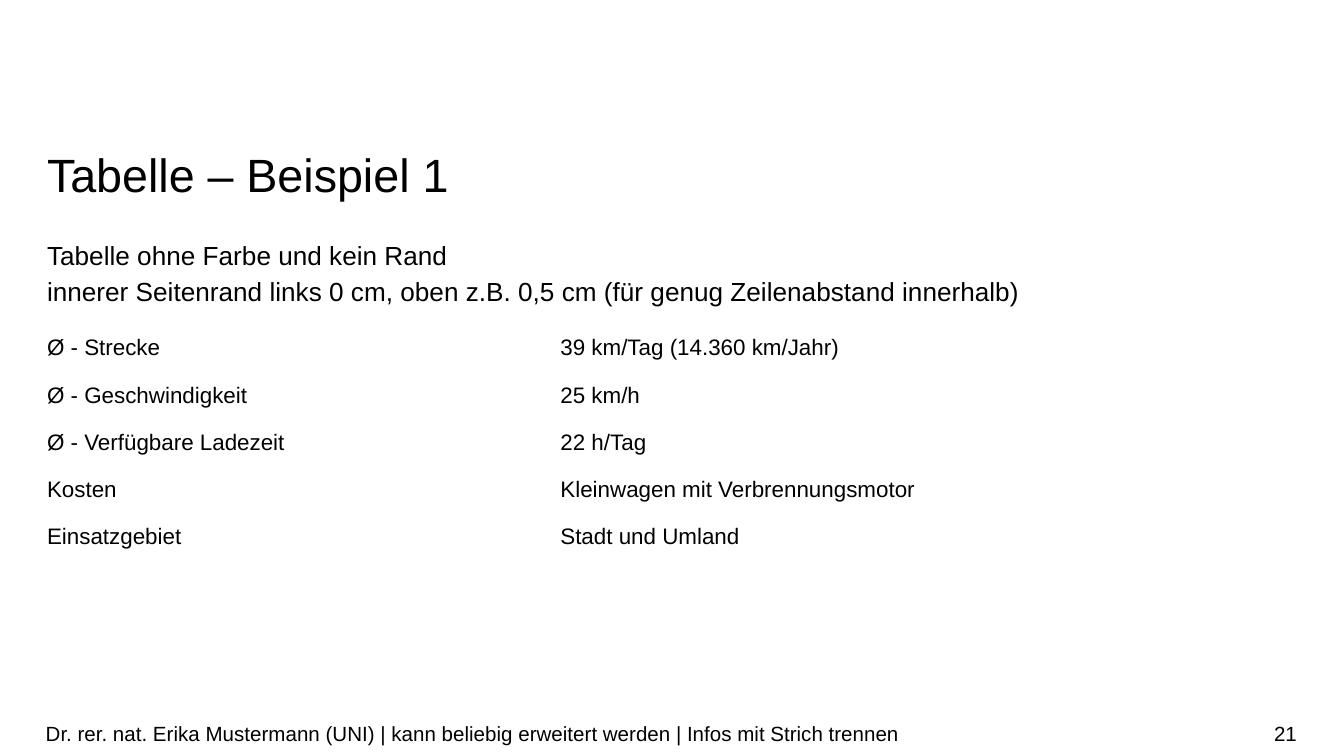
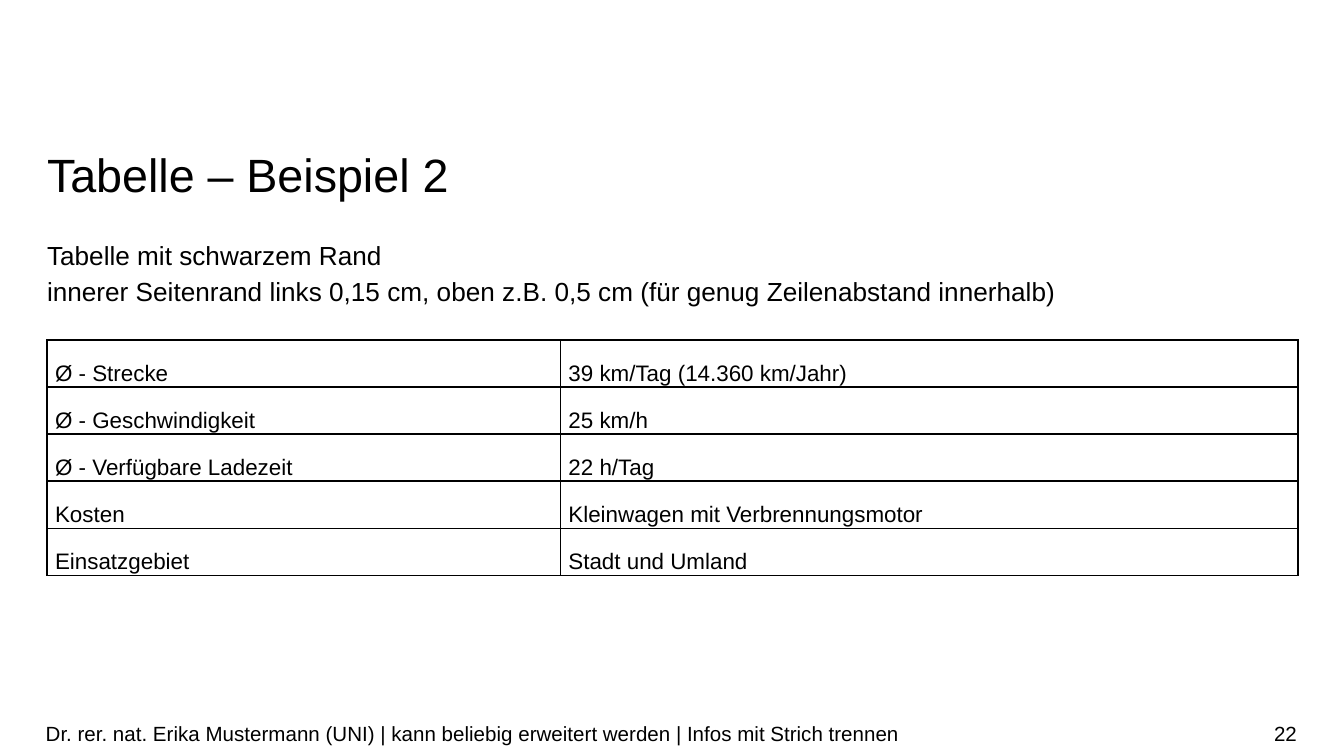
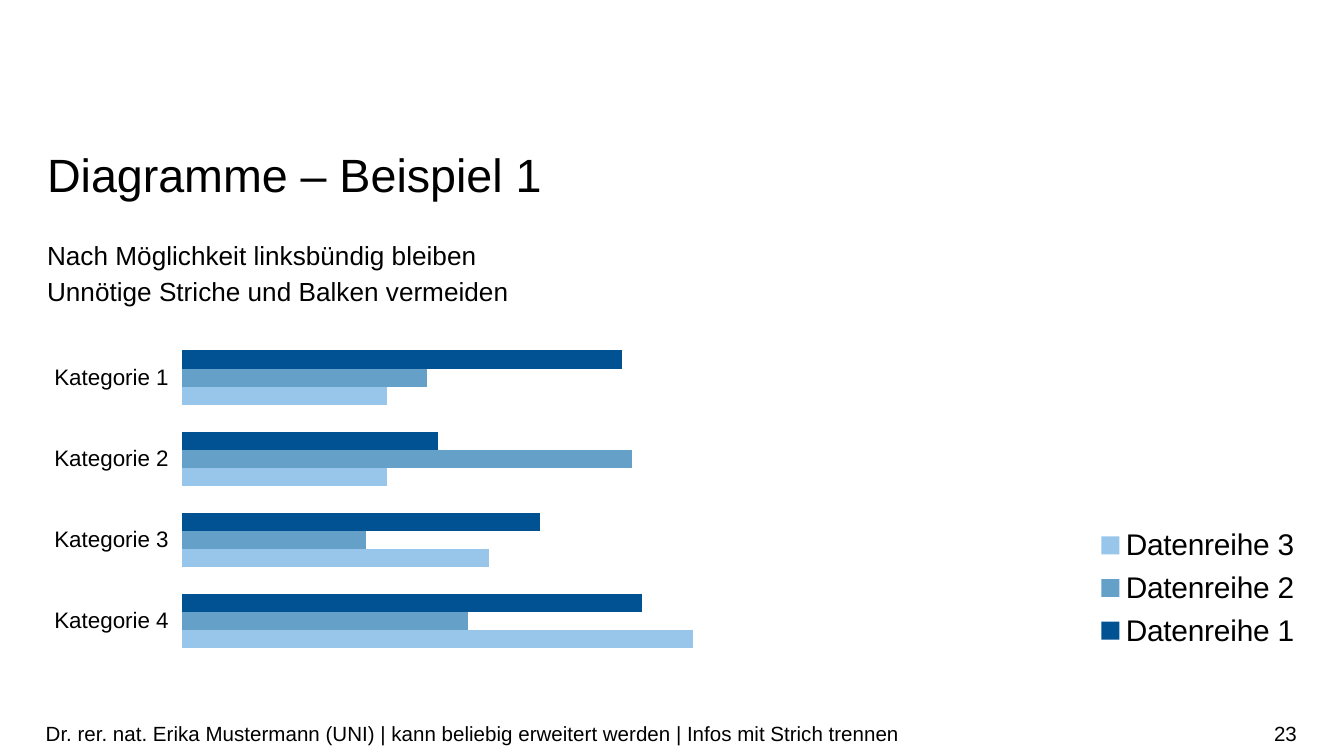
"""Build three sample slides: a plain table, a bordered table and a bar chart."""
from copy import deepcopy
from dataclasses import dataclass
from typing import Any, Optional

from lxml import etree
from pptx import Presentation
from pptx import util as u
from pptx.chart import data as chart_data
from pptx.dml import color
from pptx.enum import chart as charts
from pptx.enum import text
from pptx.oxml import ns

FONT = "Arial"
BLACK = "000000"
SLIDE_WIDTH = u.Inches(10)
SLIDE_HEIGHT = SLIDE_WIDTH * 9 // 16
NO_STYLE_TABLE = "{2D5ABB26-0587-4C30-8999-92F81FD0307C}"
FOOTER = ("Dr. rer. nat. Erika Mustermann (UNI) | kann beliebig erweitert werden"
          " | Infos mit Strich trennen")
FACTS = (
    ("Ø - Strecke", "39 km/Tag (14.360 km/Jahr)"),
    ("Ø - Geschwindigkeit", "25 km/h"),
    ("Ø - Verfügbare Ladezeit", "22 h/Tag"),
    ("Kosten", "Kleinwagen mit Verbrennungsmotor"),
    ("Einsatzgebiet", "Stadt und Umland"),
)
COLUMN_WIDTHS = (3.82, 5.49)
CATEGORIES = tuple(f"Kategorie {number}" for number in range(1, 5))


@dataclass(frozen=True)
class Box:
    """Place and size in inches."""
    left: float
    top: float
    width: float
    height: float


@dataclass(frozen=True)
class TextStyle:
    """Format of a text frame, its paragraphs and its runs."""
    size: int
    frame: dict[str, Any]
    paragraph: dict[str, Any]


@dataclass(frozen=True)
class Series:
    """One row of bars."""
    name: str
    values: tuple[int, ...]
    fill: str


@dataclass(frozen=True)
class FactTable:
    """Place, left cell margin and border width of the table of facts."""
    top: float
    margin_left: float
    border: Optional[float] = None


@dataclass(frozen=True)
class Page:
    """Content of one slide; without a table it shows the chart."""
    number: int
    title: str
    lead: tuple[str, str]
    table: Optional[FactTable] = None


def margins(left: float, vertical: float) -> dict[str, Any]:
    """Return frame margins with equal top and bottom."""
    return {"margin_left": u.Inches(left), "margin_right": 0,
            "margin_top": u.Inches(vertical), "margin_bottom": u.Inches(vertical)}


TITLE_BOX = Box(0.35, 1.06, 9.31, 0.45)
LEAD_BOX = Box(0.35, 1.75, 9.31, 0.55)
FOOTER_BOX = Box(0.34, 5.31, 7.07, 0.3)
NUMBER_BOX = Box(7.41, 5.31, 2.24, 0.3)
CHART_BOX = Box(0.12, 2.5, 9.88, 2.57)
PLOT_SHARE = Box(0.125, 0.003, 0.462, 0.94)
LEGEND_SHARE = Box(0.81, 0.53, 0.16, 0.4)

TOP_FRAME = {**margins(0, 0), "word_wrap": True, "vertical_anchor": text.MSO_ANCHOR.TOP}
FOOTER_FRAME = {**margins(0, 0.05), "word_wrap": True,
                "vertical_anchor": text.MSO_ANCHOR.MIDDLE}
LEFT = {"alignment": text.PP_ALIGN.LEFT, "space_before": u.Pt(0)}
TITLE_STYLE = TextStyle(25, {**TOP_FRAME, "auto_size": text.MSO_AUTO_SIZE.SHAPE_TO_FIT_TEXT},
                        {**LEFT, "line_spacing": u.Pt(32)})
LEAD_STYLE = TextStyle(14, {**TOP_FRAME, "auto_size": text.MSO_AUTO_SIZE.NONE},
                       {**LEFT, "line_spacing": 1.14})
FOOTER_STYLE = TextStyle(11, FOOTER_FRAME, LEFT)
NUMBER_STYLE = TextStyle(11, FOOTER_FRAME, {"alignment": text.PP_ALIGN.RIGHT})

SERIES = (
    Series("Datenreihe 1", (86, 50, 70, 90), "005293"),
    Series("Datenreihe 2", (48, 88, 36, 56), "64A0C8"),
    Series("Datenreihe 3", (40, 40, 60, 100), "98C6EA"),
)
PAGES = (
    Page(21, "Tabelle – Beispiel 1",
         ("Tabelle ohne Farbe und kein Rand",
          "innerer Seitenrand links 0 cm, oben z.B. 0,5 cm (für genug Zeilenabstand innerhalb)"),
         FactTable(2.34, 0)),
    Page(22, "Tabelle – Beispiel 2",
         ("Tabelle mit schwarzem Rand",
          "innerer Seitenrand links 0,15 cm, oben z.B. 0,5 cm (für genug Zeilenabstand innerhalb)"),
         FactTable(2.53, 0.06, 1)),
    Page(23, "Diagramme – Beispiel 1",
         ("Nach Möglichkeit linksbündig bleiben", "Unnötige Striche und Balken vermeiden")),
)


def rgb(value: str) -> color.RGBColor:
    """Turn a hex string into a colour."""
    return color.RGBColor.from_string(value)


def assign(target: Any, values: dict[str, Any]) -> None:
    """Set each named attribute on the target."""
    for name, value in values.items():
        setattr(target, name, value)


def inches(box: Box) -> tuple[int, ...]:
    """Return the box as lengths."""
    return tuple(u.Inches(side) for side in (box.left, box.top, box.width, box.height))


def set_font(font: Any, size: int) -> None:
    """Apply the shared typeface and colour at a size."""
    assign(font, {"name": FONT, "size": u.Pt(size)})
    font.color.rgb = rgb(BLACK)


def write(frame: Any, words: str, style: TextStyle) -> None:
    """Fill a text frame with one styled paragraph."""
    frame.text = words
    assign(frame, style.frame)
    paragraph = frame.paragraphs[0]
    assign(paragraph, style.paragraph)
    for run in paragraph.runs:
        set_font(run.font, style.size)
    for line_break in paragraph._p.findall(ns.qn("a:br")):
        line_break.append(deepcopy(paragraph.runs[0]._r.rPr))


def place_text(holder: Any, box: Box, words: str, style: TextStyle) -> None:
    """Move a placeholder and write into it."""
    assign(holder, dict(zip(("left", "top", "width", "height"), inches(box))))
    write(holder.text_frame, words, style)


def remove_bullet(paragraph: Any) -> None:
    """Drop the bullet and the hanging indent."""
    properties = paragraph._p.get_or_add_pPr()
    for name in ("marL", "indent"):
        properties.set(name, "0")
    etree.SubElement(properties, ns.qn("a:buNone"))


def add_borders(cell: Any, points: float) -> None:
    """Draw black lines on all four sides of a cell."""
    properties = cell._tc.get_or_add_tcPr()
    for index, side in enumerate("LRTB"):
        line = etree.Element(ns.qn(f"a:ln{side}"), w=str(u.Pt(points)))
        fill = etree.SubElement(line, ns.qn("a:solidFill"))
        etree.SubElement(fill, ns.qn("a:srgbClr"), val=BLACK)
        properties.insert(index, line)


def add_facts(slide: Any, facts: FactTable) -> None:
    """Add the table of facts."""
    box = Box(0.35, facts.top, sum(COLUMN_WIDTHS), 1.74)
    table = slide.shapes.add_table(len(FACTS), len(COLUMN_WIDTHS), *inches(box)).table
    assign(table, {"first_row": False, "horz_banding": False})
    table._tbl.tblPr.find(ns.qn("a:tableStyleId")).text = NO_STYLE_TABLE
    for column, width in zip(table.columns, COLUMN_WIDTHS):
        column.width = u.Inches(width)
    cell_format = {**margins(facts.margin_left, 0), "margin_top": u.Inches(0.15),
                   "vertical_anchor": text.MSO_ANCHOR.MIDDLE}
    for row, fact in zip(table.rows, FACTS):
        for cell, words in zip(row.cells, fact):
            write(cell.text_frame, words, TextStyle(12, {}, LEFT))
            assign(cell, cell_format)
            cell.fill.background()
            if facts.border:
                add_borders(cell, facts.border)


def set_layout(parent: Any, index: int, share: Box, inner: bool = False) -> None:
    """Fix a chart part at a share of the chart area."""
    for old in parent.findall(ns.qn("c:layout")):
        parent.remove(old)
    layout = etree.Element(ns.qn("c:layout"))
    manual = etree.SubElement(layout, ns.qn("c:manualLayout"))
    values = {"layoutTarget": "inner"} if inner else {}
    values.update(xMode="edge", yMode="edge", x=share.left, y=share.top,
                  w=share.width, h=share.height)
    for name, value in values.items():
        etree.SubElement(manual, ns.qn(f"c:{name}"), val=str(value))
    parent.insert(index, layout)


def add_bars(slide: Any) -> None:
    """Add the bar chart with its legend."""
    numbers = chart_data.CategoryChartData()
    numbers.categories = CATEGORIES
    for series in SERIES:
        numbers.add_series(series.name, series.values)
    chart = slide.shapes.add_chart(charts.XL_CHART_TYPE.BAR_CLUSTERED,
                                   *inches(CHART_BOX), numbers).chart
    assign(chart, {"has_title": False, "has_legend": True})
    set_font(chart.font, 16)
    assign(chart.legend, {"position": charts.XL_LEGEND_POSITION.RIGHT,
                          "include_in_layout": False})
    set_font(chart.legend.font, 16)
    assign(chart.plots[0], {"gap_width": 150, "overlap": 0, "vary_by_categories": False})
    for bars, series in zip(chart.plots[0].series, SERIES):
        bars.format.fill.solid()
        bars.format.fill.fore_color.rgb = rgb(series.fill)
    assign(chart.value_axis, {"visible": False, "has_major_gridlines": False,
                              "minimum_scale": 0, "maximum_scale": 120})
    assign(chart.category_axis, {"reverse_order": True, "has_major_gridlines": False,
                                 "major_tick_mark": charts.XL_TICK_MARK.OUTSIDE})
    chart.category_axis.format.line.fill.background()
    set_font(chart.category_axis.tick_labels.font, 12)
    set_layout(chart._chartSpace.chart.plotArea, 0, PLOT_SHARE, inner=True)
    set_layout(chart.legend._element, 1, LEGEND_SHARE)


def add_page(deck: Any, page: Page) -> None:
    """Add one slide with title, lead, content and footer."""
    slide = deck.slides.add_slide(deck.slide_layouts[1])
    lead = slide.placeholders[1]
    place_text(slide.shapes.title, TITLE_BOX, page.title, TITLE_STYLE)
    place_text(lead, LEAD_BOX, "\v".join(page.lead), LEAD_STYLE)
    remove_bullet(lead.text_frame.paragraphs[0])
    for box, words, style in ((NUMBER_BOX, str(page.number), NUMBER_STYLE),
                              (FOOTER_BOX, FOOTER, FOOTER_STYLE)):
        write(slide.shapes.add_textbox(*inches(box)).text_frame, words, style)
    if page.table:
        add_facts(slide, page.table)
    else:
        add_bars(slide)


def main() -> None:
    """Build and save the presentation."""
    deck = Presentation()
    assign(deck, {"slide_width": SLIDE_WIDTH, "slide_height": SLIDE_HEIGHT})
    for page in PAGES:
        add_page(deck, page)
    deck.save("out.pptx")


main()
